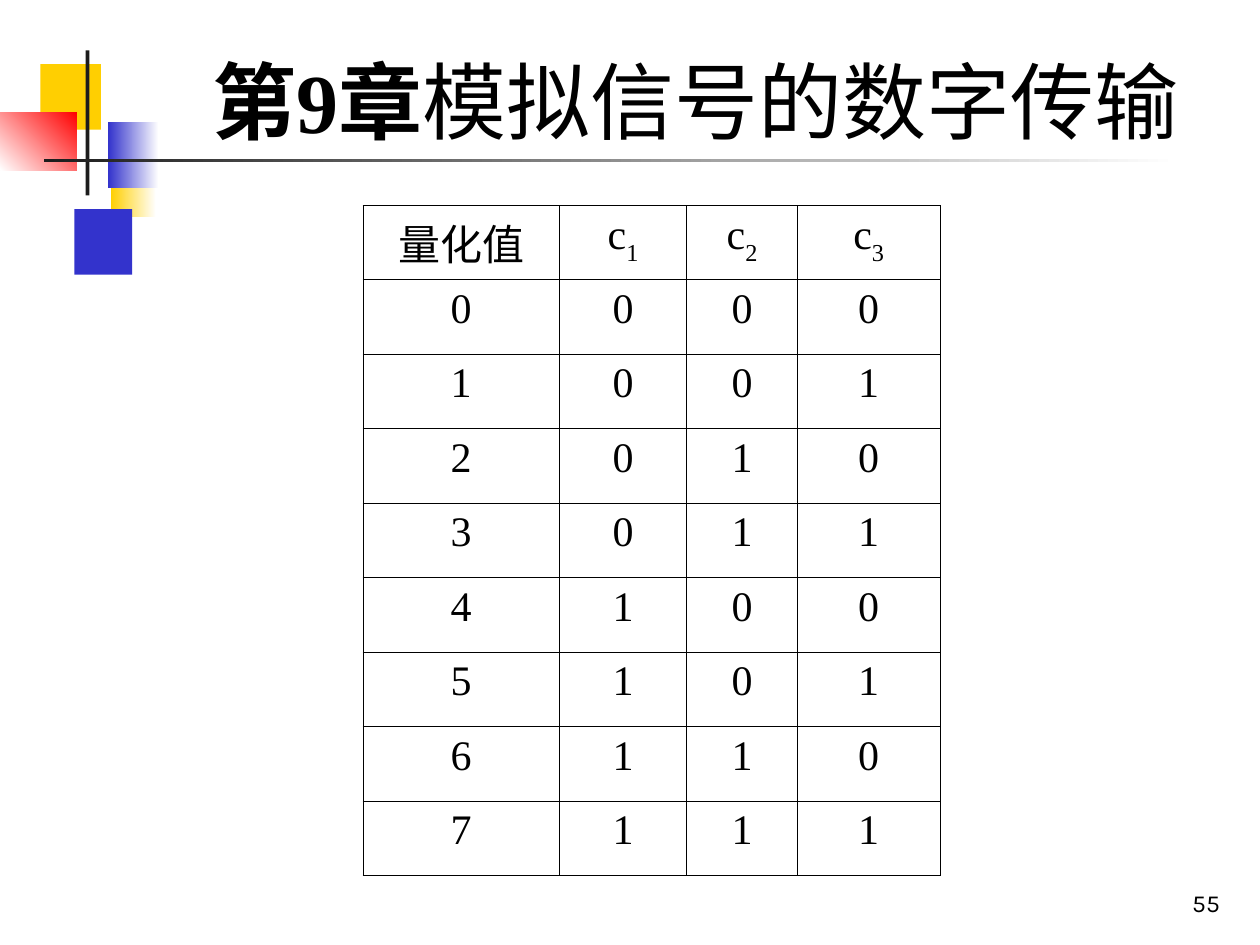
from pptx import Presentation
from pptx import util as u
from pptx.dml.color import RGBColor
from pptx.enum import shapes, text
from pptx.oxml import parse_xml
from pptx.oxml.ns import nsdecls

SERIF = "Times New Roman"
BLACK, WHITE, YELLOW, BLUE = "000000", "FFFFFF", "FFCF01", "3333CC"
RED, CHARCOAL = "FF0000", "1C1C1C"

DECORATIONS = [
    ((0.88, 1.2, 0.36, 0.52), (WHITE, YELLOW, 180)),
    ((0.59, 1.66, 0.46, 0.52), BLUE),
    ((0.32, 0.51, 0.48, 0.52), YELLOW),
    ((0.86, 0.97, 0.4, 0.52), (WHITE, BLUE, 180)),
    ((0, 0.89, 0.61, 0.46), (RED, WHITE, 225)),
    ((0.68, 0.4, 0.03, 1.15), CHARCOAL),
    ((0.35, 1.26, 9, 0.03), (WHITE, CHARCOAL, 180)),
]
TITLE = [("第9章", True), ("模拟信号的数字传输", False)]
PAGE_NUMBER = [("55", False)]
HEADER = [("量化值", ""), ("c", "1"), ("c", "2"), ("c", "3")]
CODES = [[(digit, "") for digit in f"{value}{value:03b}"] for value in range(8)]
COLUMN_WIDTHS = [1.56, 1.01, 0.88, 1.13]
ROW_HEIGHT = 5.32 / 9


def color(value):
    return RGBColor.from_string(value)


def style(paragraph, size, name, alignment):
    paragraph.alignment = alignment
    paragraph.font.size = u.Pt(size)
    paragraph.font.name = name
    paragraph.font.color.rgb = color(BLACK)


def add_decoration(slide, box, paint):
    shape = slide.shapes.add_shape(shapes.MSO_SHAPE.RECTANGLE, *map(u.Inches, box))
    shape.shadow.inherit = False
    shape.line.fill.background()
    if isinstance(paint, str):
        shape.fill.solid()
        shape.fill.fore_color.rgb = color(paint)
        return
    start, end, angle = paint
    shape.fill.gradient()
    shape.fill.gradient_angle = angle
    for stop, value, position in zip(shape.fill.gradient_stops, (start, end), (0, 1)):
        stop.color.rgb = color(value)
        stop.position = position


def add_text(slide, box, runs, size, name, alignment):
    frame = slide.shapes.add_textbox(*map(u.Inches, box)).text_frame
    frame.word_wrap = True
    frame.vertical_anchor = text.MSO_ANCHOR.BOTTOM
    paragraph = frame.paragraphs[0]
    style(paragraph, size, name, alignment)
    for content, bold in runs:
        run = paragraph.add_run()
        run.text = content
        run.font.bold = bold


def fill_cell(cell, content, subscript):
    paragraph = cell.text_frame.paragraphs[0]
    style(paragraph, 24, SERIF, text.PP_ALIGN.CENTER)
    paragraph.add_run().text = content
    if subscript:
        run = paragraph.add_run()
        run.text = subscript
        run.font._element.set("baseline", "-30000")
    properties = cell._tc.get_or_add_tcPr()
    for side in ("lnL", "lnR", "lnT", "lnB"):
        properties.append(parse_xml(
            f'<a:{side} {nsdecls("a")} w="5715"><a:solidFill>'
            f'<a:srgbClr val="{BLACK}"/></a:solidFill></a:{side}>'))
    cell.fill.background()


def add_code_table(slide):
    rows = [HEADER] + CODES
    table = slide.shapes.add_table(
        len(rows), len(COLUMN_WIDTHS), u.Inches(2.88), u.Inches(1.63),
        u.Inches(sum(COLUMN_WIDTHS)), u.Inches(ROW_HEIGHT * len(rows))).table
    table.first_row = False
    table.horz_banding = False
    for column, width in zip(table.columns, COLUMN_WIDTHS):
        column.width = u.Inches(width)
    for row, contents in zip(table.rows, rows):
        row.height = u.Inches(ROW_HEIGHT)
        for cell, (content, subscript) in zip(row.cells, contents):
            fill_cell(cell, content, subscript)


def main():
    presentation = Presentation()
    presentation.slide_width = u.Inches(10)
    presentation.slide_height = u.Inches(7.5)
    slide = presentation.slides.add_slide(presentation.slide_layouts[6])
    for box, paint in DECORATIONS:
        add_decoration(slide, box, paint)
    add_text(slide, (1.26, 0.23, 8.52, 1.01), TITLE, 48, SERIF, text.PP_ALIGN.CENTER)
    add_code_table(slide)
    add_text(slide, (7.7, 6.83, 2.08, 0.5), PAGE_NUMBER, 14, "Karla", text.PP_ALIGN.RIGHT)
    presentation.save("out.pptx")


if __name__ == "__main__":
    main()
